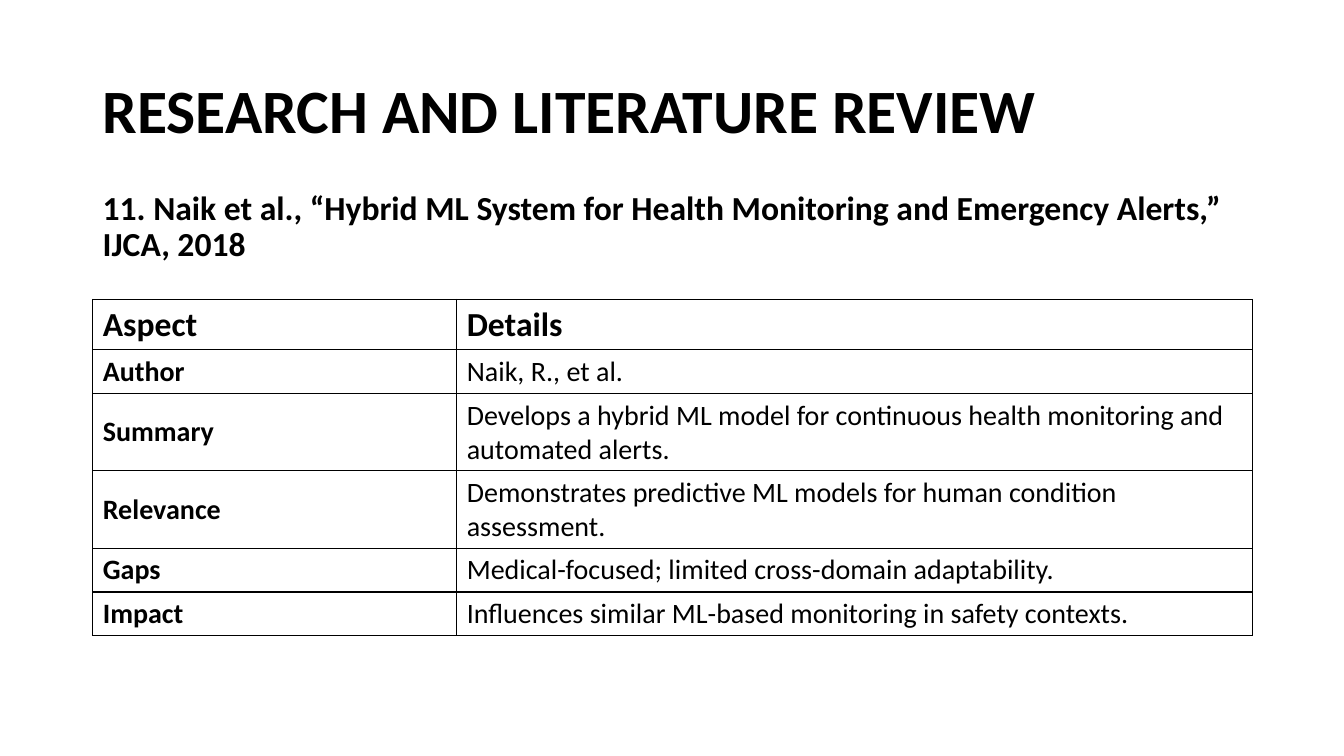
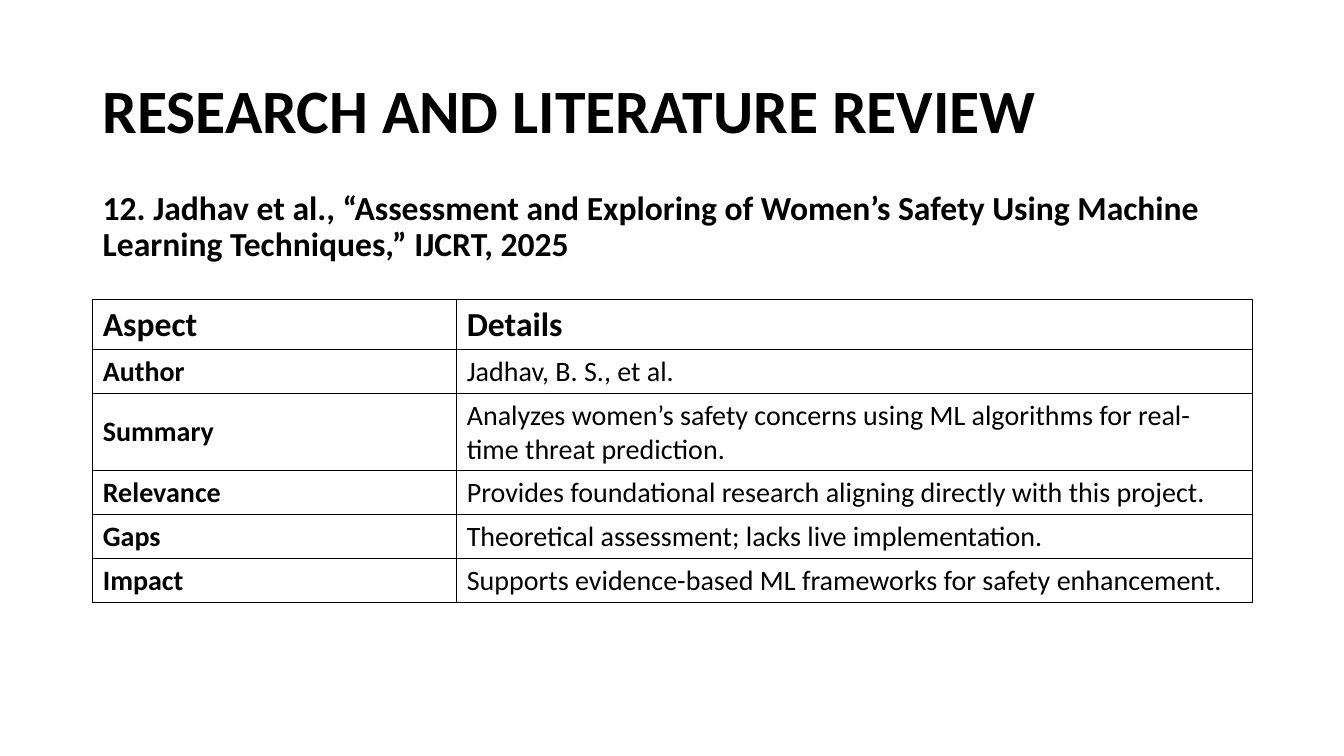
from lxml import etree
from pptx import Presentation
from pptx.dml.color import RGBColor
from pptx.enum import text as t
from pptx.oxml import ns
from pptx.util import Inches, Pt

COLORS = {"ink": "000000", "page": "FFFFFF"}
FONT = "Calibri"
LEFT, WIDTH = 0.92, 11.5
COLS = (3.61, 7.89)
HEAD_H, ROW_H = 0.5, 0.43
TITLE = "RESEARCH AND LITERATURE REVIEW"
ASPECTS = ("Author", "Summary", "Relevance", "Gaps", "Impact")
PAPERS = [
    ("11. Naik et al., “Hybrid ML System for Health Monitoring and "
     "Emergency Alerts,” IJCA, 2018",
     ("Naik, R., et al.",
      "Develops a hybrid ML model for continuous health monitoring and automated alerts.",
      "Demonstrates predictive ML models for human condition assessment.",
      "Medical-focused; limited cross-domain adaptability.",
      "Influences similar ML-based monitoring in safety contexts.")),
    ("12. Jadhav et al., “Assessment and Exploring of Women’s Safety Using "
     "Machine Learning Techniques,” IJCRT, 2025",
     ("Jadhav, B. S., et al.",
      "Analyzes women’s safety concerns using ML algorithms for real-time threat prediction.",
      "Provides foundational research aligning directly with this project.",
      "Theoretical assessment; lacks live implementation.",
      "Supports evidence-based ML frameworks for safety enhancement.")),
]


def style(para, size, bold=True):
    for run in para.runs:
        run.font.name = FONT
        run.font.size = Pt(size)
        run.font.bold = bold
        run.font.color.rgb = RGBColor.from_string(COLORS["ink"])


def add_text(slide, words, top, height, size, anchor, before=0):
    box = slide.shapes.add_textbox(*map(Inches, (LEFT, top, WIDTH, height)))
    frame = box.text_frame
    frame.word_wrap = True
    frame.vertical_anchor = anchor
    frame.text = words
    para = frame.paragraphs[0]
    para.line_spacing = 0.9
    para.space_before = Pt(before)
    style(para, size)


def add_edges(cell):
    """Draw a thin line on all four sides of the cell."""
    props = cell._tc.get_or_add_tcPr()
    for side in "LRTB":
        line = etree.SubElement(props, ns.qn(f"a:ln{side}"), w=str(Pt(1)))
        fill = etree.SubElement(line, ns.qn("a:solidFill"))
        etree.SubElement(fill, ns.qn("a:srgbClr"), val=COLORS["ink"])


def add_grid(slide, rows):
    """Add the table; rows with longer text grow to fit it."""
    height = HEAD_H + ROW_H * (len(rows) - 1)
    place = map(Inches, (LEFT, 2.97, WIDTH, height))
    table = slide.shapes.add_table(len(rows), len(COLS), *place).table
    table.first_row = table.horz_banding = False
    for col, width in zip(table.columns, COLS):
        col.width = Inches(width)
    for r, row in enumerate(rows):
        table.rows[r].height = Inches(ROW_H if r else HEAD_H)
        for c, words in enumerate(row):
            cell = table.cell(r, c)
            cell.text = words
            cell.vertical_anchor = t.MSO_ANCHOR.MIDDLE
            style(cell.text_frame.paragraphs[0], 20 if r else 24, r == 0 or c == 0)
            add_edges(cell)
            cell.fill.background()


def add_page(deck, cite, details):
    slide = deck.slides.add_slide(deck.slide_layouts[6])
    back = slide.background.fill
    back.solid()
    back.fore_color.rgb = RGBColor.from_string(COLORS["page"])
    add_text(slide, TITLE, 0.4, 1.45, 44, t.MSO_ANCHOR.MIDDLE)
    add_text(slide, cite, 1.85, 1, 24, t.MSO_ANCHOR.TOP, before=10)
    add_grid(slide, [("Aspect", "Details"), *zip(ASPECTS, details)])


def main():
    deck = Presentation()
    deck.slide_width, deck.slide_height = Inches(13.33), Inches(7.5)
    for cite, details in PAPERS:
        add_page(deck, cite, details)
    deck.save("out.pptx")


if __name__ == "__main__":
    main()
